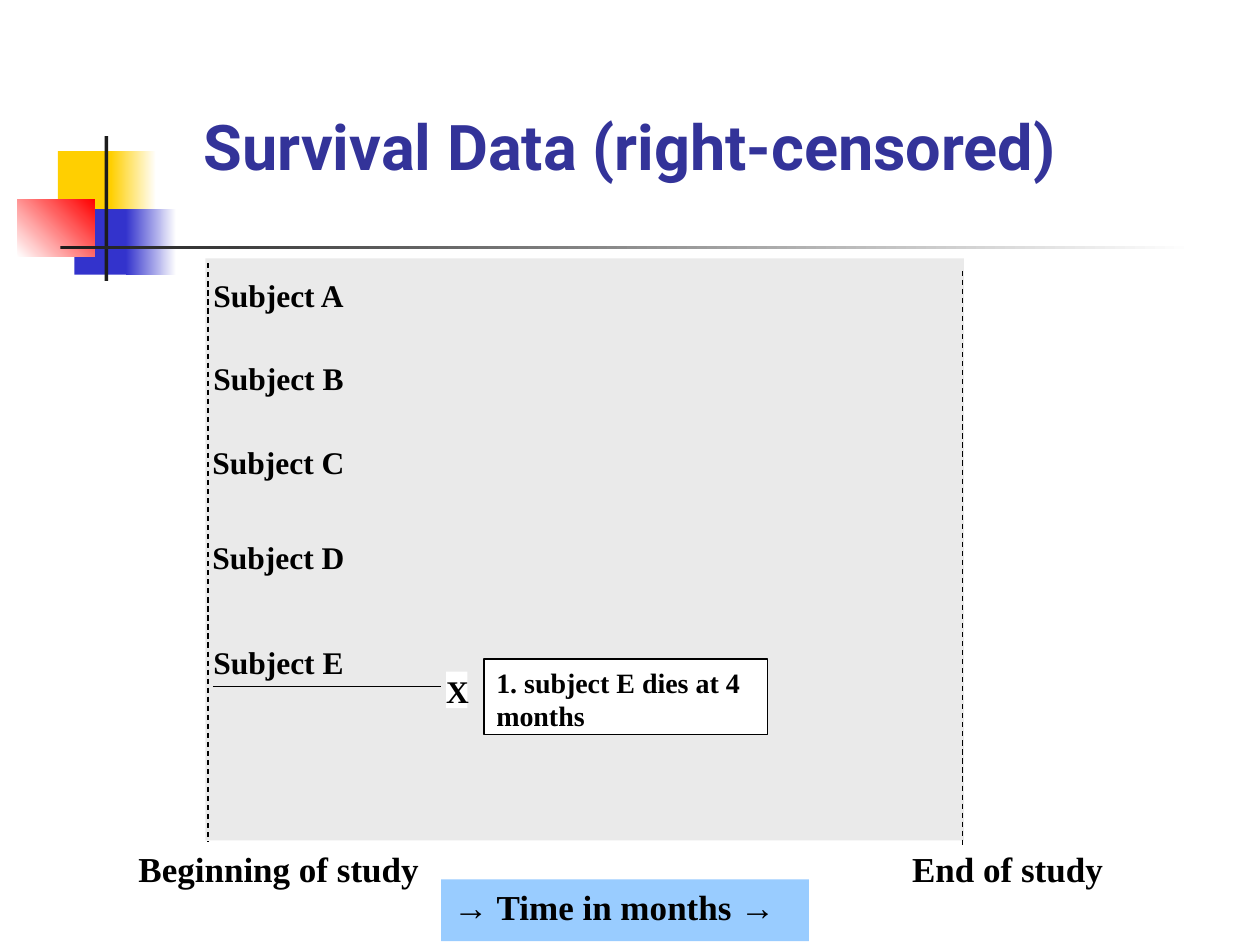
from dataclasses import dataclass
from typing import Optional

import pptx
import pptx.dml.color
import pptx.enum.dml
import pptx.enum.shapes
import pptx.enum.text
import pptx.oxml.ns
import pptx.util
from lxml import etree
from pptx.util import Inches

ALIGN = pptx.enum.text.PP_ALIGN
ANCHOR = pptx.enum.text.MSO_ANCHOR


@dataclass(frozen=True)
class Theme:
    title_font: str = "Roboto"
    body_font: str = "Times New Roman"
    title_color: str = "333399"
    ink: str = "000000"
    white: str = "FFFFFF"
    panel: str = "EAEAEA"
    time_band: str = "99CCFF"
    yellow: str = "FFCF01"
    blue: str = "3333CC"
    red: str = "FF0000"
    bar: str = "1C1C1C"
    title_size: int = 36
    axis_size: int = 20
    subject_size: int = 18
    note_size: int = 16
    line_width: float = 0.75


THEME = Theme()


@dataclass(frozen=True)
class Box:
    left: float
    top: float
    width: float
    height: float

    def lengths(self) -> tuple:
        return tuple(Inches(v) for v in (self.left, self.top, self.width, self.height))


@dataclass(frozen=True)
class Block:
    """A filled rectangle; an end colour makes it a gradient."""
    box: Box
    color: str
    end_color: Optional[str] = None
    angle: float = 0
    outlined: bool = False


@dataclass(frozen=True)
class Label:
    text: str
    size: int
    align: ALIGN = ALIGN.LEFT
    insets: tuple = (0.1, 0.05, 0.1, 0.05)


@dataclass(frozen=True)
class Rule:
    start: tuple
    end: tuple
    dashed: bool = False


def rgb(color: str) -> pptx.dml.color.RGBColor:
    return pptx.dml.color.RGBColor.from_string(color)


def add_run(paragraph, text: str, font: str, size: int, color: str) -> None:
    run = paragraph.add_run()
    run.text = text
    run.font.name = font
    run.font.size = pptx.util.Pt(size)
    run.font.bold = True
    run.font.color.rgb = rgb(color)


def write_label(shape, label: Label) -> None:
    frame = shape.text_frame
    frame.word_wrap = True
    frame.vertical_anchor = ANCHOR.TOP
    (frame.margin_left, frame.margin_top,
     frame.margin_right, frame.margin_bottom) = map(Inches, label.insets)
    paragraph = frame.paragraphs[0]
    paragraph.alignment = label.align
    add_run(paragraph, label.text, THEME.body_font, label.size, THEME.ink)


def add_block(slide, block: Block, label: Optional[Label] = None) -> None:
    shape = slide.shapes.add_shape(
        pptx.enum.shapes.MSO_SHAPE.RECTANGLE, *block.box.lengths())
    shape.shadow.inherit = False
    if block.end_color:
        shape.fill.gradient()
        shape.fill.gradient_angle = block.angle
        stops = shape.fill.gradient_stops
        for stop, position, color in zip(stops, (0, 1), (block.color, block.end_color)):
            stop.position = position
            stop.color.rgb = rgb(color)
    else:
        shape.fill.solid()
        shape.fill.fore_color.rgb = rgb(block.color)
    if block.outlined:
        shape.line.color.rgb = rgb(THEME.ink)
        shape.line.width = pptx.util.Pt(THEME.line_width)
    else:
        shape.line.fill.background()
    if label:
        write_label(shape, label)


def add_text(slide, box: Box, label: Label) -> None:
    write_label(slide.shapes.add_textbox(*box.lengths()), label)


def add_rule(slide, rule: Rule) -> None:
    connector = slide.shapes.add_connector(
        pptx.enum.shapes.MSO_CONNECTOR.STRAIGHT,
        *map(Inches, rule.start + rule.end))
    connector.line.color.rgb = rgb(THEME.ink)
    connector.line.width = pptx.util.Pt(THEME.line_width)
    if rule.dashed:
        connector.line.dash_style = pptx.enum.dml.MSO_LINE.DASH
    properties = connector.element.find(pptx.oxml.ns.qn("p:spPr"))
    etree.SubElement(properties, pptx.oxml.ns.qn("a:effectLst"))


def add_title(slide, text: str) -> None:
    title = slide.shapes.title
    title.left, title.top, title.width, title.height = Box(0.75, 0.75, 8.5, 0.75).lengths()
    title.text_frame.vertical_anchor = ANCHOR.BOTTOM
    paragraph = title.text_frame.paragraphs[0]
    paragraph.alignment = ALIGN.CENTER
    add_run(paragraph, text, THEME.title_font, THEME.title_size, THEME.title_color)


DECORATION = (
    Block(Box(0.46, 1.2, 0.48, 0.52), THEME.yellow),
    Block(Box(0.88, 1.2, 0.36, 0.52), THEME.yellow, THEME.white),
    Block(Box(0.59, 1.66, 0.46, 0.52), THEME.blue),
    Block(Box(1, 1.66, 0.4, 0.52), THEME.blue, THEME.white),
    Block(Box(0.14, 1.58, 0.61, 0.46), THEME.white, THEME.red, angle=45),
    Block(Box(0.83, 1.08, 0.03, 1.15), THEME.bar),
    Block(Box(0.48, 1.95, 9, 0.03), THEME.bar, THEME.white),
)
STUDY_PANEL = Block(Box(1.63, 2.05, 6.02, 4.62), THEME.panel)
STUDY_LIMITS = (
    Rule((7.64, 2.15), (7.64, 6.72), dashed=True),
    Rule((1.65, 2.09), (1.65, 6.68), dashed=True),
)
LIMIT_LABELS = {"Beginning of study": 1, "End of study": 7.14}
SUBJECT_TOPS = {"A": 2.14, "B": 2.8, "C": 3.47, "D": 4.22, "E": 5.05}


def add_study_period(slide) -> None:
    add_block(slide, STUDY_PANEL)
    for limit in STUDY_LIMITS:
        add_rule(slide, limit)
    for text, left in LIMIT_LABELS.items():
        add_text(slide, Box(left, 6.68, 3.52, 0.74), Label(text, THEME.axis_size))
    add_block(slide, Block(Box(3.5, 6.98, 2.92, 0.49), THEME.time_band),
              Label("→ Time in months →", THEME.axis_size))
    for name, top in SUBJECT_TOPS.items():
        add_text(slide, Box(0.92, top, 2.58, 0.35),
                 Label(f"Subject {name}", THEME.subject_size, ALIGN.CENTER,
                       (0.1, 0.05, 0.1, 0)))


def add_death_of_subject_e(slide) -> None:
    add_rule(slide, Rule((1.69, 5.45), (3.5, 5.45)))
    add_block(slide, Block(Box(3.84, 5.23, 2.25, 0.6), THEME.white, outlined=True),
              Label("1. subject E dies at 4 months", THEME.note_size))
    add_block(slide, Block(Box(3.54, 5.33, 0.17, 0.29), THEME.white),
              Label("X", THEME.subject_size, insets=(0, 0, 0, 0)))


def main() -> None:
    presentation = pptx.Presentation()
    presentation.slide_width, presentation.slide_height = Inches(10), Inches(7.5)
    slide = presentation.slides.add_slide(presentation.slide_layouts.get_by_name("Title Only"))
    for block in DECORATION:
        add_block(slide, block)
    add_study_period(slide)
    add_title(slide, "Survival Data (right-censored)")
    add_death_of_subject_e(slide)
    presentation.save("out.pptx")


if __name__ == "__main__":
    main()
